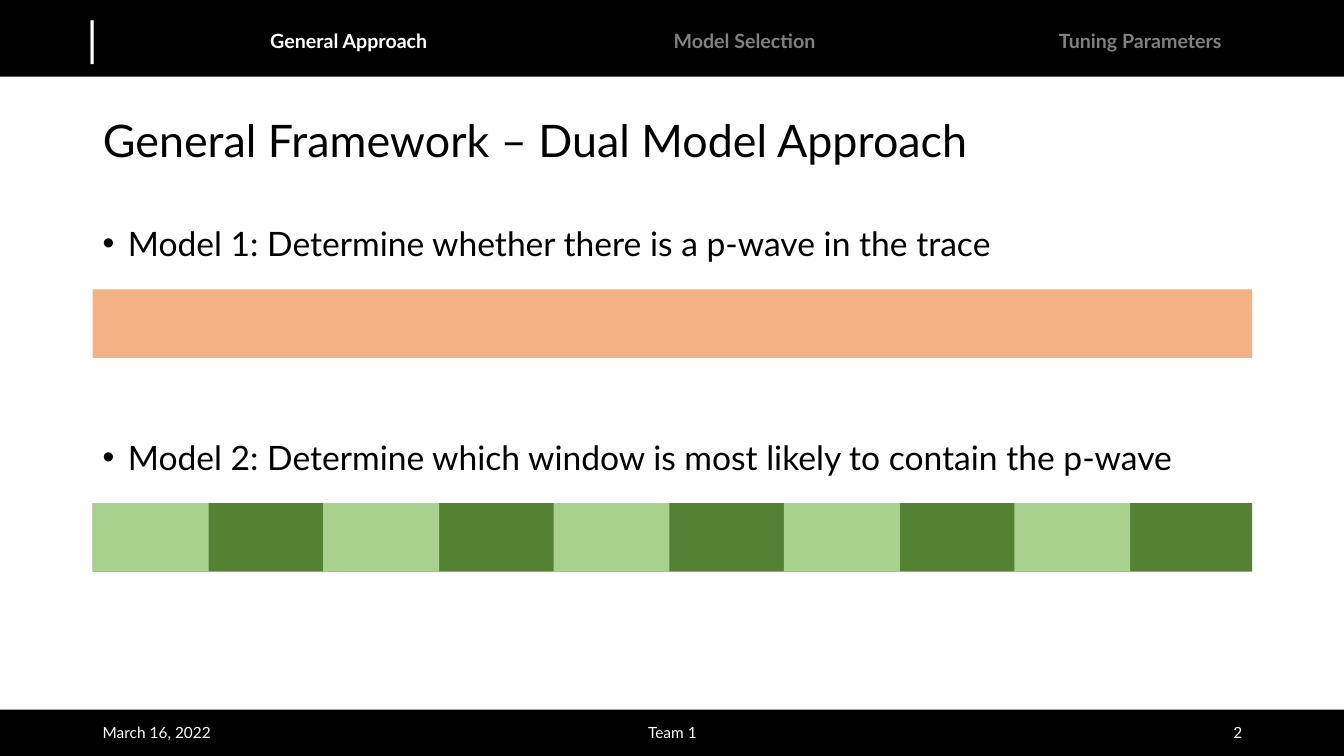
from dataclasses import dataclass

from lxml.etree import SubElement
from pptx import Presentation
from pptx.dml.color import RGBColor
from pptx.enum.shapes import MSO_SHAPE as Shape
from pptx.enum.text import MSO_ANCHOR as Anchor, MSO_AUTO_SIZE as Fit, PP_ALIGN as Align
from pptx.oxml.ns import qn
from pptx.util import Inches, Pt

TITLE = "General Framework – Dual Model Approach"
TABS = ["General Approach", "Model Selection", "Tuning Parameters"]
ACTIVE = "General Approach"
MODELS = [
    "Model 1: Determine whether there is a p-wave in the trace",
    "Model 2: Determine which window is most likely to contain the p-wave",
]
FOOTER = [  # text, left, width, alignment
    ("March 16, 2022", 0.92, 3, Align.LEFT),
    ("Team 1", 4.42, 4.5, Align.CENTER),
    ("2", 9.42, 3, Align.RIGHT),
]


@dataclass(frozen=True)
class Theme:
    font: str = "Lato"
    black: str = "000000"
    white: str = "FFFFFF"
    muted: str = "808080"
    trace: str = "F4B183"
    light: str = "A9D18E"
    dark: str = "548235"
    title: float = 32
    body: float = 24
    tab: float = 14
    foot: float = 11
    mark: float = 33.3


T = Theme()
WIDE, HIGH = 13.33, 7.5
LEFT, SPAN = 0.92, 11.5
ROW, BAR = 0.87, 0.68
TOPS = [2, 4.12]
WINDOWS, WINDOW, PITCH = 5, 1.15, 2.285

deck = Presentation()
deck.slide_width, deck.slide_height = Inches(WIDE), Inches(HIGH)
slide = deck.slides.add_slide(deck.slide_layouts[5])


def write(box, text, size, color, align=Align.LEFT, bold=False):
    frame = box.text_frame
    frame.text = text
    frame.word_wrap = True
    frame.auto_size = Fit.NONE
    frame.vertical_anchor = Anchor.MIDDLE
    para = frame.paragraphs[0]
    para.alignment = align
    font = para.runs[0].font
    font.name, font.size, font.bold = T.font, Pt(size), bold
    font.color.rgb = RGBColor.from_string(color)
    return para


def label(area, *style, **more):
    box = slide.shapes.add_textbox(*map(Inches, area))
    return write(box, *style, **more)


def block(area, color):
    rect = slide.shapes.add_shape(Shape.RECTANGLE, *map(Inches, area))
    rect.shadow.inherit = False
    rect.fill.solid()
    rect.fill.fore_color.rgb = RGBColor.from_string(color)
    rect.line.fill.background()


def bullet(para):
    para.line_spacing = 0.9
    para.space_before = Pt(10)
    props = para._p.get_or_add_pPr()
    props.set("marL", str(Inches(0.25)))
    props.set("indent", str(Inches(-0.25)))
    SubElement(props, qn("a:buFont"), typeface="Arial")
    SubElement(props, qn("a:buChar"), char="•")


# Header and footer bands
block((0, 7.04, WIDE, 0.46), T.black)
block((0, 0, WIDE, 0.76), T.black)
label((0.76, 0.08, 0.3, 0.59), "|", T.mark, T.white, Align.CENTER)
for i, tab in enumerate(TABS):
    on = T.white if tab == ACTIVE else T.muted
    label((2.21 + i * 3.925, 0.25, 2.5, 0.3), tab, T.tab, on, Align.CENTER, bold=True)
for text, left, width, align in FOOTER:
    label((left, 7.12, width, 0.3), text, T.foot, T.white, align)

# Title
head = slide.shapes.title
head.left, head.top, head.width, head.height = map(Inches, (LEFT, 0.98, SPAN, ROW))
write(head, TITLE, T.title, T.black).line_spacing = 0.9

# Models, each with its trace bar below
for top, text, color in zip(TOPS, MODELS, [T.trace, T.dark]):
    bullet(label((LEFT, top, SPAN, ROW), text, T.body, T.black))
    block((LEFT, top + ROW, SPAN, BAR), color)
for i in range(WINDOWS):
    block((LEFT + i * PITCH, TOPS[1] + ROW, WINDOW, BAR), T.light)

deck.save("out.pptx")
